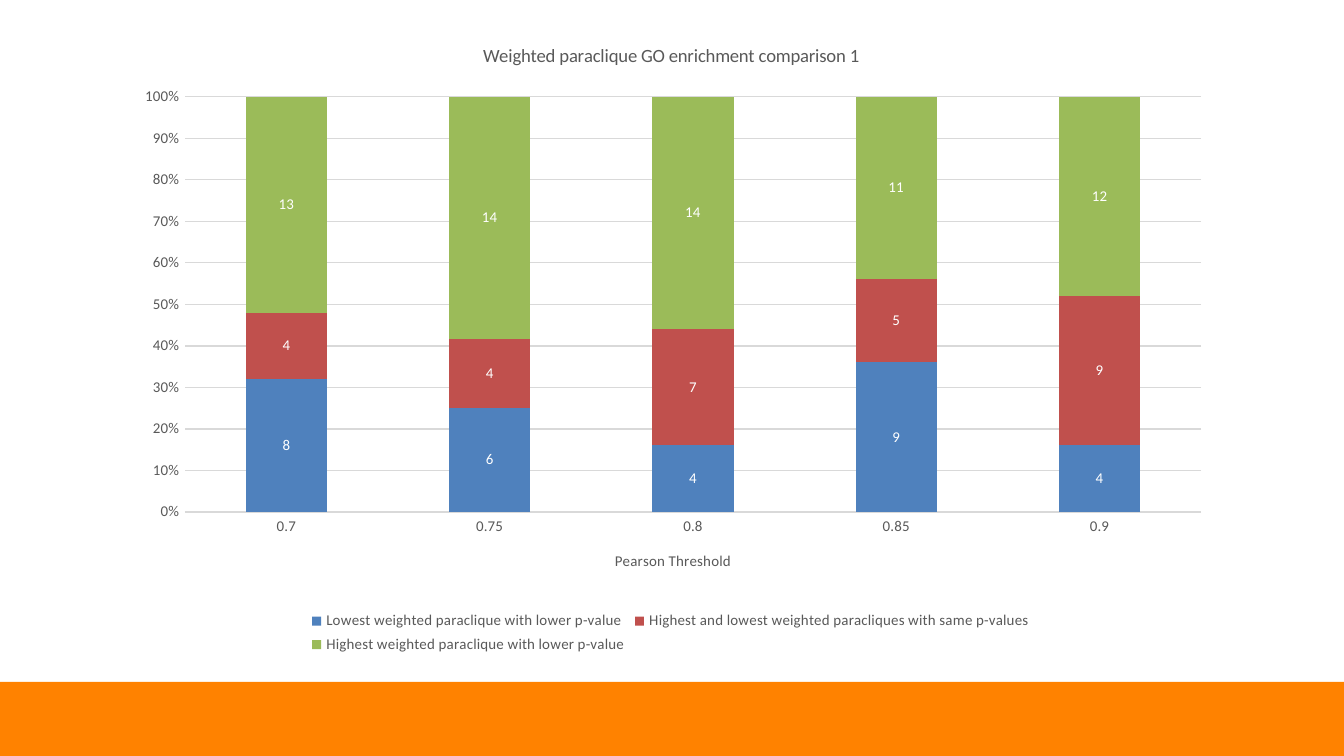
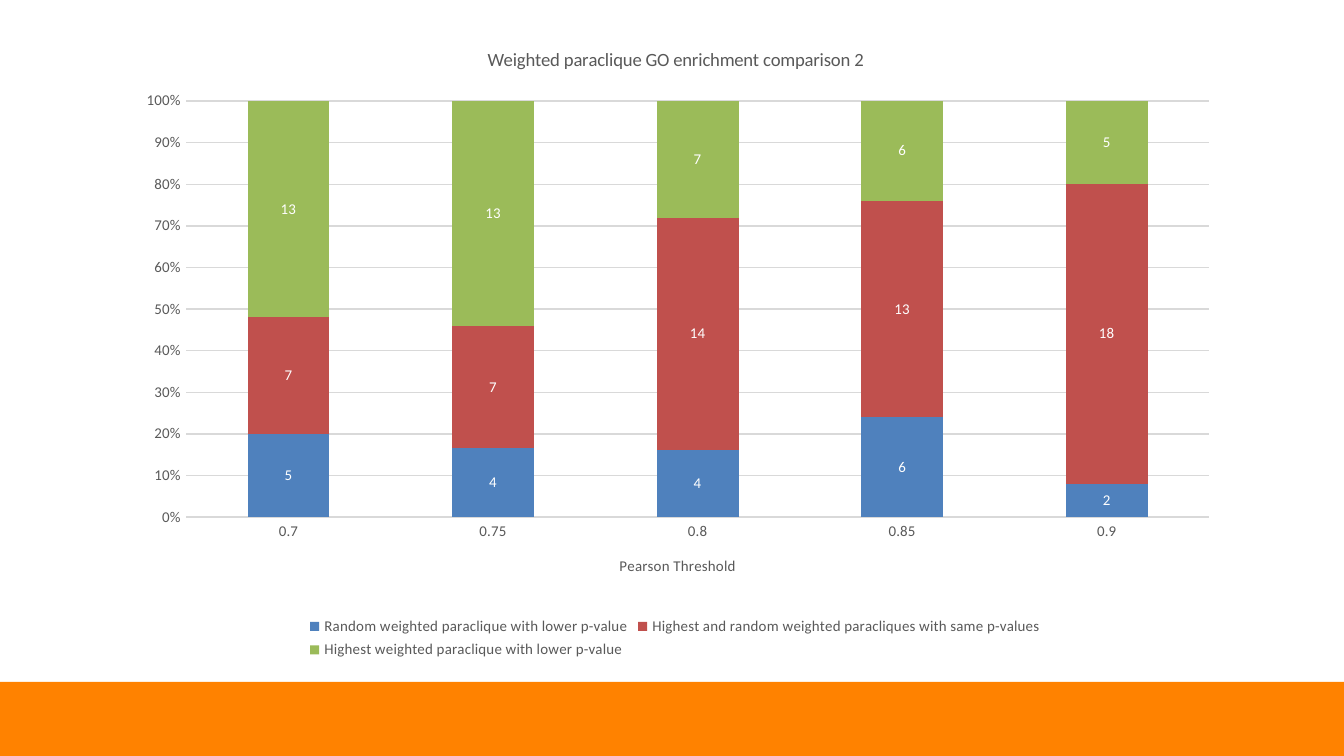
from lxml import etree
from pptx import Presentation
from pptx import util as u
from pptx.chart.data import CategoryChartData
from pptx.dml.color import RGBColor
from pptx.enum import chart as charts, shapes
from pptx.oxml.ns import qn

THRESHOLDS = ["0.7", "0.75", "0.8", "0.85", "0.9"]
HIGHEST = "Highest weighted paraclique with lower p-value"


def color(hex_code):
    return RGBColor.from_string(hex_code)


class Slides:
    """Style of the deck and the slide being built."""

    width, height = u.Cm(25.4), u.Cm(14.28)
    font_name = "Calibri"
    orange, gray, light, white = "FF8200", "595959", "D9D9D9", "FFFFFF"
    series_colors = ["4F81BD", "C0504D", "9BBB59"]
    plot_area = {"x": 0.06, "y": 0.12, "w": 0.92, "h": 0.65}

    def __init__(self):
        self.deck = Presentation()
        self.deck.slide_width, self.deck.slide_height = self.width, self.height
        self.page = None

    def add_page(self):
        self.page = self.deck.slides.add_slide(self.deck.slide_layouts[6])
        self.add_band()

    def add_band(self):
        top = u.Cm(12.88)
        band = self.page.shapes.add_shape(
            shapes.MSO_SHAPE.RECTANGLE, 0, top, self.width, self.height - top)
        band.shadow.inherit = False
        band.fill.solid()
        band.fill.fore_color.rgb = color(self.orange)
        band.line.fill.background()

    def style_font(self, font, size=8, hex_code=gray):
        font.name, font.size, font.bold = self.font_name, u.Pt(size), False
        font.color.rgb = color(hex_code)

    def style_line(self, line):
        line.color.rgb = color(self.light)
        line.width = u.Pt(0.75)

    def set_title(self, owner, words, size):
        frame = owner.text_frame
        frame.text = words
        self.style_font(frame.paragraphs[0].font, size)

    def place_plot(self, chart):
        area = chart.element.find(".//" + qn("c:plotArea"))
        for old in area.findall(qn("c:layout")):
            area.remove(old)
        layout = etree.Element(qn("c:layout"))
        manual = etree.SubElement(layout, qn("c:manualLayout"))
        settings = {"layoutTarget": "inner", "xMode": "edge", "yMode": "edge",
                    **self.plot_area}
        for tag, value in settings.items():
            etree.SubElement(manual, qn("c:" + tag)).set("val", str(value))
        area.insert(0, layout)

    def add_stacked_chart(self, title, series, left, top, width, height):
        data = CategoryChartData()
        data.categories = THRESHOLDS
        for name, values in series.items():
            data.add_series(name, values)
        chart = self.page.shapes.add_chart(
            charts.XL_CHART_TYPE.COLUMN_STACKED_100,
            u.Cm(left), u.Cm(top), u.Cm(width), u.Cm(height), data).chart
        self.style_font(chart.font, 10, "000000")
        chart.has_title = True
        self.set_title(chart.chart_title, title, 10)
        chart.chart_title.include_in_layout = False
        self.place_plot(chart)

        # Legend
        chart.has_legend = True
        chart.legend.position = charts.XL_LEGEND_POSITION.BOTTOM
        chart.legend.include_in_layout = False
        self.style_font(chart.legend.font)

        # Axes
        for axis in (chart.category_axis, chart.value_axis):
            axis.major_tick_mark = axis.minor_tick_mark = charts.XL_TICK_MARK.NONE
            self.style_font(axis.tick_labels.font)
        self.style_line(chart.category_axis.format.line)
        self.set_title(chart.category_axis.axis_title, "Pearson Threshold", 8)
        values_axis = chart.value_axis
        values_axis.format.line.fill.background()
        values_axis.maximum_scale, values_axis.major_unit = 1, 0.1
        values_axis.has_major_gridlines = True
        self.style_line(values_axis.major_gridlines.format.line)
        values_axis.tick_labels.number_format = "0%"
        values_axis.tick_labels.number_format_is_linked = False

        # Columns and their values
        plot = chart.plots[0]
        plot.gap_width, plot.overlap = 150, 100
        plot.vary_by_categories = False
        for column, hex_code in zip(plot.series, self.series_colors):
            column.format.fill.solid()
            column.format.fill.fore_color.rgb = color(hex_code)
            labels = column.data_labels
            labels.show_value = True
            labels.position = charts.XL_LABEL_POSITION.CENTER
            self.style_font(labels.font, hex_code=self.white)


def main():
    slides = Slides()

    # Highest against lowest weights
    slides.add_page()
    slides.add_stacked_chart("Weighted paraclique GO enrichment comparison 1", {
        "Lowest weighted paraclique with lower p-value": [8, 6, 4, 9, 4],
        "Highest and lowest weighted paracliques with same p-values": [4, 4, 7, 5, 9],
        HIGHEST: [13, 14, 14, 11, 12],
    }, 2.24, 0.38, 20.88, 12.07)

    # Highest against random weights
    slides.add_page()
    slides.add_stacked_chart("Weighted paraclique GO enrichment comparison 2", {
        "Random weighted paraclique with lower p-value": [5, 4, 4, 6, 2],
        "Highest and random weighted paracliques with same p-values": [7, 7, 14, 13, 18],
        HIGHEST: [13, 13, 7, 6, 5],
    }, 2.26, 0.46, 21.01, 12.09)

    slides.deck.save("out.pptx")


if __name__ == "__main__":
    main()
